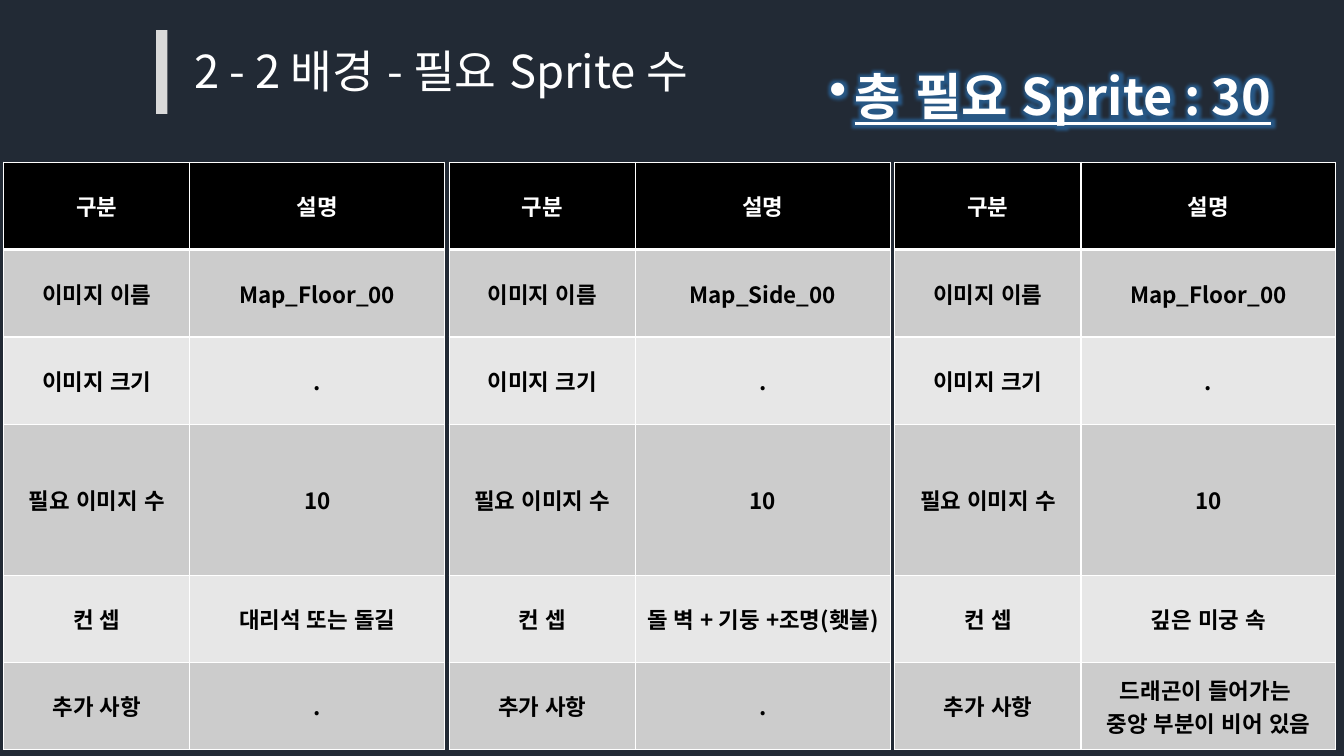
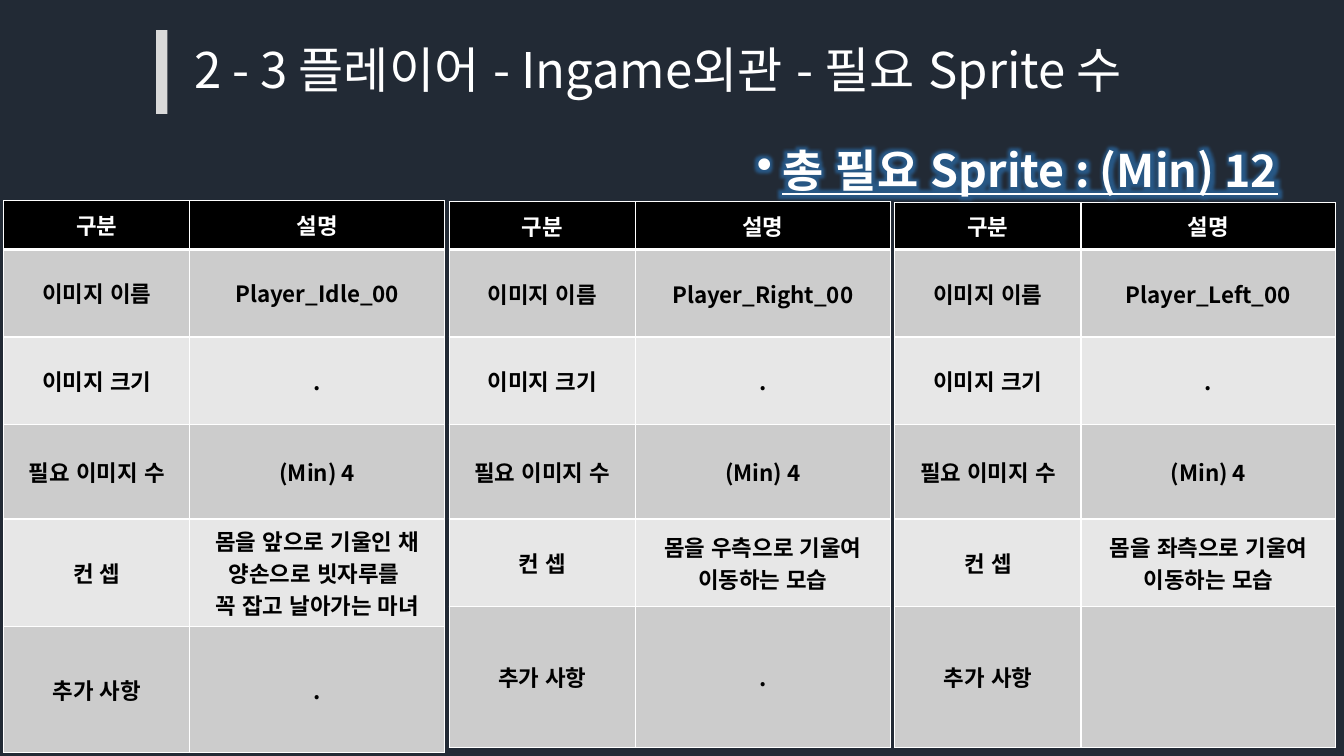
from lxml import etree
from pptx import Presentation
from pptx.dml.color import RGBColor
from pptx.enum.lang import MSO_LANGUAGE_ID
from pptx.enum.shapes import MSO_SHAPE
from pptx.enum.text import MSO_ANCHOR, PP_ALIGN
from pptx.oxml.ns import qn
from pptx.util import Pt

RECT = MSO_SHAPE.RECTANGLE
MIDDLE = MSO_ANCHOR.MIDDLE
TOP = MSO_ANCHOR.TOP
CENTER = PP_ALIGN.CENTER
KOREAN = MSO_LANGUAGE_ID.KOREAN

NAVY = RGBColor(0x22, 0x2A, 0x35)
SILVER = RGBColor(0xD9, 0xD9, 0xD9)
WHITE = RGBColor(0xFF, 0xFF, 0xFF)
BLACK = RGBColor(0, 0, 0)
DARK = RGBColor(0xCC, 0xCC, 0xCC)
LIGHT = RGBColor(0xE7, 0xE7, 0xE7)
BLUE = RGBColor(0x5B, 0x9B, 0xD5)

FACE = "Noto Sans CJK KR"
LABELS = ("이미지 이름", "이미지 크기", "필요 이미지 수", "컨 셉", "추가 사항")
COLS = (133, 182)
LEFT = 2.6
PITCH = 318.3
BODY = 178.3

EVEN = (62.4, 62.4, 107.8, 62.4, 62.4)
TALL = (62.4, 62.4, 67.7, 77, 90)
LOW = (62.4, 62.4, 67.7, 62.4, 100.8)

FLOORS = (
    (115.9, EVEN, ("Map_Floor_00", ".", "10", "대리석 또는 돌길", ".")),
    (115.9, EVEN, ("Map_Side_00", ".", "10", "돌 벽 + 기둥 +조명(횃불)", ".")),
    (115.9, EVEN, ("Map_Floor_00", ".", "10", "깊은 미궁 속",
                   "드래곤이 들어가는 \v중앙 부분이 비어 있음")),
)
MOVES = (
    (143.3, TALL, ("Player_Idle_00", ".", "(Min) 4",
                   "몸을 앞으로 기울인 채 양손으로 빗자루를 \v꼭 잡고 날아가는 마녀", ".")),
    (144, LOW, ("Player_Right_00", ".", "(Min) 4",
                "몸을 우측으로 기울여 이동하는 모습", ".")),
    (144.7, LOW, ("Player_Left_00", ".", "(Min) 4",
                  "몸을 좌측으로 기울여 이동하는 모습", "")),
)


def assign(target, values):
    for name, value in values.items():
        setattr(target, name, value)


def add(parent, tag, **attrs):
    return etree.SubElement(parent, qn(tag), attrs)


def style(run, color, **values):
    font = run.font
    font.color.rgb = color
    assign(font, {"name": FACE, "language_id": KOREAN, **values})
    add(run._r.get_or_add_rPr(), "a:ea", typeface=FACE)


def glow(run):
    props = run._r.get_or_add_rPr()
    effect = etree.Element(qn("a:effectLst"))
    halo = add(effect, "a:glow", rad=str(Pt(11)))
    color = add(halo, "a:srgbClr", val=str(BLUE))
    add(color, "a:satMod", val="175000")
    add(color, "a:alpha", val="40000")
    props.find(qn("a:solidFill")).addnext(effect)


def write(slide, box, text, size, space, anchor):
    frame = slide.shapes.add_textbox(*map(Pt, box)).text_frame
    assign(frame, {"word_wrap": True, "vertical_anchor": anchor})
    para = frame.paragraphs[0]
    para.line_spacing = space
    run = para.add_run()
    run.text = text
    style(run, WHITE, size=Pt(size))
    return para, run


def add_title(slide, text, size, width, space):
    bar = slide.shapes.add_shape(RECT, Pt(111.6), Pt(21.6), Pt(8), Pt(59.8))
    bar.shadow.inherit = False
    bar.fill.solid()
    bar.fill.fore_color.rgb = SILVER
    bar.line.fill.background()
    write(slide, (131.8, 31, width, 43.9), text, size, space, MIDDLE)


def add_total(slide, box, text, size):
    para, run = write(slide, box, text, size, 1.5, TOP)
    props = para._p.get_or_add_pPr()
    props.set("marL", str(Pt(18)))
    props.set("indent", str(Pt(-18)))
    add(props, "a:buChar", char="•")
    assign(run.font, {"bold": True, "underline": True})
    glow(run)


def paint(cell, text, row):
    props = cell._tc.get_or_add_tcPr()
    widths = {"L": 1, "R": 1, "T": 3 if row == 1 else 1, "B": 3 if row == 0 else 1}
    for side, width in widths.items():
        line = add(props, f"a:ln{side}", w=str(Pt(width)))
        add(add(line, "a:solidFill"), "a:srgbClr", val=str(WHITE))
    cell.fill.solid()
    cell.fill.fore_color.rgb = BLACK if row == 0 else (LIGHT, DARK)[row % 2]
    cell.vertical_anchor = MIDDLE
    cell.text = text
    para = cell.text_frame.paragraphs[0]
    para.alignment = CENTER
    for run in para.runs:
        style(run, WHITE if row == 0 else BLACK, size=Pt(16), bold=True)


def add_grid(slide, left, top, heights, values):
    rows = (("구분", "설명"), *zip(LABELS, values))
    heights = (BODY - top, *heights)
    box = (left, top, sum(COLS), sum(heights))
    table = slide.shapes.add_table(len(rows), len(COLS), *map(Pt, box)).table
    for col, width in zip(table.columns, COLS):
        col.width = Pt(width)
    for i, (texts, height) in enumerate(zip(rows, heights)):
        table.rows[i].height = Pt(height)
        for j, text in enumerate(texts):
            paint(table.cell(i, j), text, i)


def add_page(deck, title, grids, total):
    slide = deck.slides.add_slide(deck.slide_layouts[6])
    slide.background.fill.solid()
    slide.background.fill.fore_color.rgb = NAVY
    add_title(slide, *title)
    for i, grid in enumerate(grids):
        add_grid(slide, LEFT + i * PITCH, *grid)
    add_total(slide, *total)


def main():
    deck = Presentation()
    assign(deck, {"slide_width": Pt(960), "slide_height": Pt(540)})
    add_page(
        deck, ("2 - 2 배경 - 필요 Sprite 수", 32.4, 700.6, 0.9), FLOORS,
        ((585.4, 21.6, 374.4, 78.5), "총 필요 Sprite : 30", 36))
    add_page(
        deck, ("2 - 3 플레이어 - Ingame외관 - 필요 Sprite 수", 35.1, 739.4, 0.8), MOVES,
        ((533.5, 79.2, 404.6, 78.5), "총 필요 Sprite : (Min) 12", 32))
    deck.save("out.pptx")


if __name__ == "__main__":
    main()
